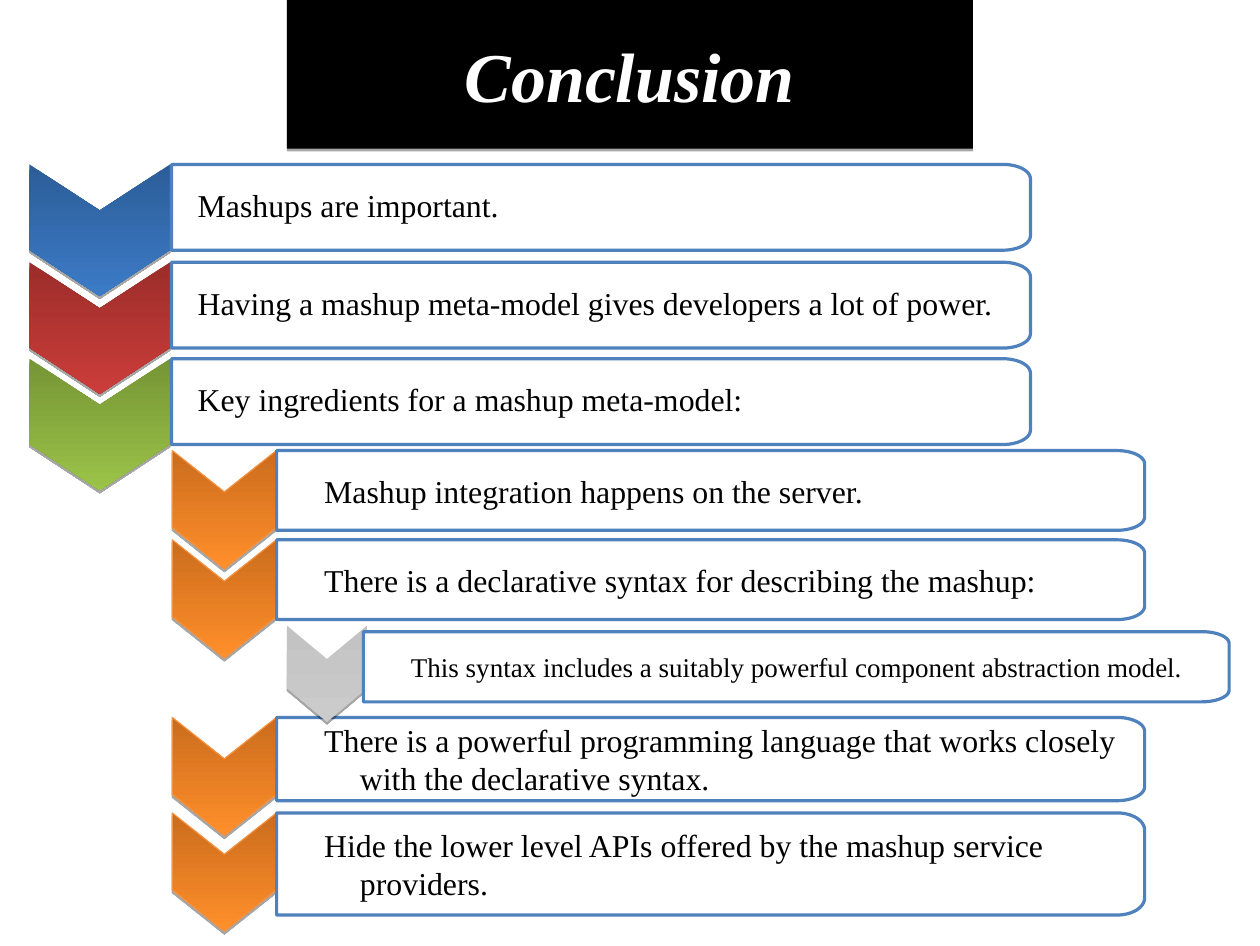
"""Build the Conclusion slide: a title banner above chevron-marked statements."""
from math import cos, pi, sin

from lxml.etree import SubElement
from pptx import Presentation
from pptx.dml.color import RGBColor as RGB
from pptx.enum.shapes import MSO_SHAPE as Shape
from pptx.enum.text import MSO_ANCHOR as Anchor, PP_ALIGN as Align
from pptx.oxml.ns import qn
from pptx.util import Pt

TITLE = "Conclusion"
BANNER = (180.72, 0, 432, 93.6)
ROWS = [
    ("Mashups are important.", 0, 103.5, 54, "blue"),
    ("Having a mashup meta-model gives developers a lot of power.", 0, 165.1, 54, "red"),
    ("Key ingredients for a mashup meta-model:", 0, 225.8, 54, "green"),
    ("Mashup integration happens on the server.", 1, 283.6, 50.2, "orange"),
    ("There is a declarative syntax for describing the mashup:", 1, 339.8, 50.2, "orange"),
    ("This syntax includes a suitably powerful component abstraction model.",
     2, 397.6, 44.2, "gray"),
    ("There is a powerful programming language that works closely "
     "with the declarative syntax.", 1, 451.6, 52.4, "orange"),
    ("Hide the lower level APIs offered by the mashup service providers.",
     1, 511.7, 64.3, "orange"),
]
LEVELS = [
    dict(chevron=(18.6, 88.5, 82.8), lift=0, box=(108, 540.9), margin=22.5, spacing=0.9, after=5),
    dict(chevron=(108.5, 65.6, 74.5), lift=0, box=(174.2, 546.6), margin=36, spacing=1, after=0),
    dict(chevron=(180.72, 50.4, 60.5), lift=3.8, box=(228.8, 545.2), margin=36, spacing=1, after=0),
]
THEME = dict(
    font="Times New Roman", title_size=44, sizes=(20, 20, 17),
    banner="000000", title="FFFFFF", text="000000", box="FFFFFF", border="4F81BD",
    chevrons=dict(blue=("2C5D98", "3C7BC7"), red=("9B2D2A", "CB3D3A"),
                  green=("769535", "9BC348"), orange=("CB6C1D", "FF8F2A"),
                  gray=("C3C3C3", "CBCBCB")),
    outlines=dict(orange="F69240"),
)
NOTCH, CORNER_WIDTH, CORNER_RATIO, ARC_STEPS = 0.35, 17.3, 1 / 6, 12
HANGING = -22.5


def rgb(value):
    return RGB.from_string(value)


def polygon(s, points):
    pts = [(Pt(x), Pt(y)) for x, y in points]
    builder = s.shapes.build_freeform(*pts[0])
    builder.add_line_segments(pts[1:], close=True)
    sp = builder.convert_to_shape()
    sp.shadow.inherit = False
    return sp


def set_line(sp, color, width):
    if color:
        sp.line.color.rgb = rgb(color)
        sp.line.width = Pt(width)
    else:
        sp.line.fill.background()


def add_shadow(sp):
    sp.shadow.inherit = False
    effects = sp.element.spPr.find(qn("a:effectLst"))
    shadow = SubElement(effects, qn("a:outerShdw"), blurRad="0", dist=str(Pt(1.8)),
                        dir="5400000", rotWithShape="0")
    color = SubElement(shadow, qn("a:srgbClr"), val="000000")
    SubElement(color, qn("a:alpha"), val="35000")


def write(sp, text, size, color, align):
    tf = sp.text_frame
    tf.word_wrap = True
    tf.vertical_anchor = Anchor.MIDDLE
    p = tf.paragraphs[0]
    p.text = text
    p.alignment = align
    font = p.runs[0].font
    font.name, font.size, font.color.rgb = THEME["font"], Pt(size), rgb(color)
    return tf, p


def add_banner(s):
    sp = s.shapes.add_shape(Shape.RECTANGLE, *map(Pt, BANNER))
    sp.fill.solid()
    sp.fill.fore_color.rgb = rgb(THEME["banner"])
    set_line(sp, None, 0)
    add_shadow(sp)
    tf, p = write(sp, TITLE, THEME["title_size"], THEME["title"], Align.CENTER)
    p.runs[0].font.bold = p.runs[0].font.italic = True


def add_chevron(s, left, top, width, height, name):
    right, mid, bottom = left + width, left + width / 2, top + height
    notch = height * NOTCH
    sp = polygon(s, [(right, top), (right, bottom - notch), (mid, bottom),
                     (left, bottom - notch), (left, top), (mid, top + notch)])
    sp.fill.gradient()
    sp.fill.gradient_angle = 270
    for stop, color in zip(sp.fill.gradient_stops, THEME["chevrons"][name]):
        stop.color.rgb = rgb(color)
    set_line(sp, THEME["outlines"].get(name), 0.75)
    add_shadow(sp)


def add_box(s, left, top, width, height, text, level):
    rx, ry = CORNER_WIDTH, height * CORNER_RATIO
    cx = left + width - rx
    angles = [pi / 2 * i / ARC_STEPS for i in range(ARC_STEPS + 1)]
    upper = [(cx + rx * sin(a), top + ry - ry * cos(a)) for a in angles]
    lower = [(x, 2 * top + height - y) for x, y in reversed(upper)]
    sp = polygon(s, [(left, top), *upper, *lower, (left, top + height)])
    sp.fill.solid()
    sp.fill.fore_color.rgb = rgb(THEME["box"])
    fill = sp.element.spPr.find(qn("a:solidFill"))
    SubElement(fill[0], qn("a:alpha"), val="90000")
    set_line(sp, THEME["border"], 2)
    tf, p = write(sp, text, THEME["sizes"][level], THEME["text"], Align.LEFT)
    tf.margin_left = Pt(16.5)
    tf.margin_top = tf.margin_right = tf.margin_bottom = Pt(5.8)
    style = LEVELS[level]
    p.line_spacing, p.space_after = style["spacing"], Pt(style["after"])
    pPr = p._p.get_or_add_pPr()
    pPr.set("marL", str(Pt(style["margin"])))
    pPr.set("indent", str(Pt(HANGING)))


def main():
    prs = Presentation()
    prs.slide_width, prs.slide_height = Pt(793.44), Pt(595.44)
    s = prs.slides.add_slide(prs.slide_layouts[6])
    add_banner(s)
    for text, level, top, height, name in sorted(ROWS, key=lambda row: row[1]):
        style = LEVELS[level]
        left, width, depth = style["chevron"]
        add_chevron(s, left, top - style["lift"], width, depth, name)
        box_left, box_width = style["box"]
        add_box(s, box_left, top, box_width, height, text, level)
    prs.save("out.pptx")


if __name__ == "__main__":
    main()
